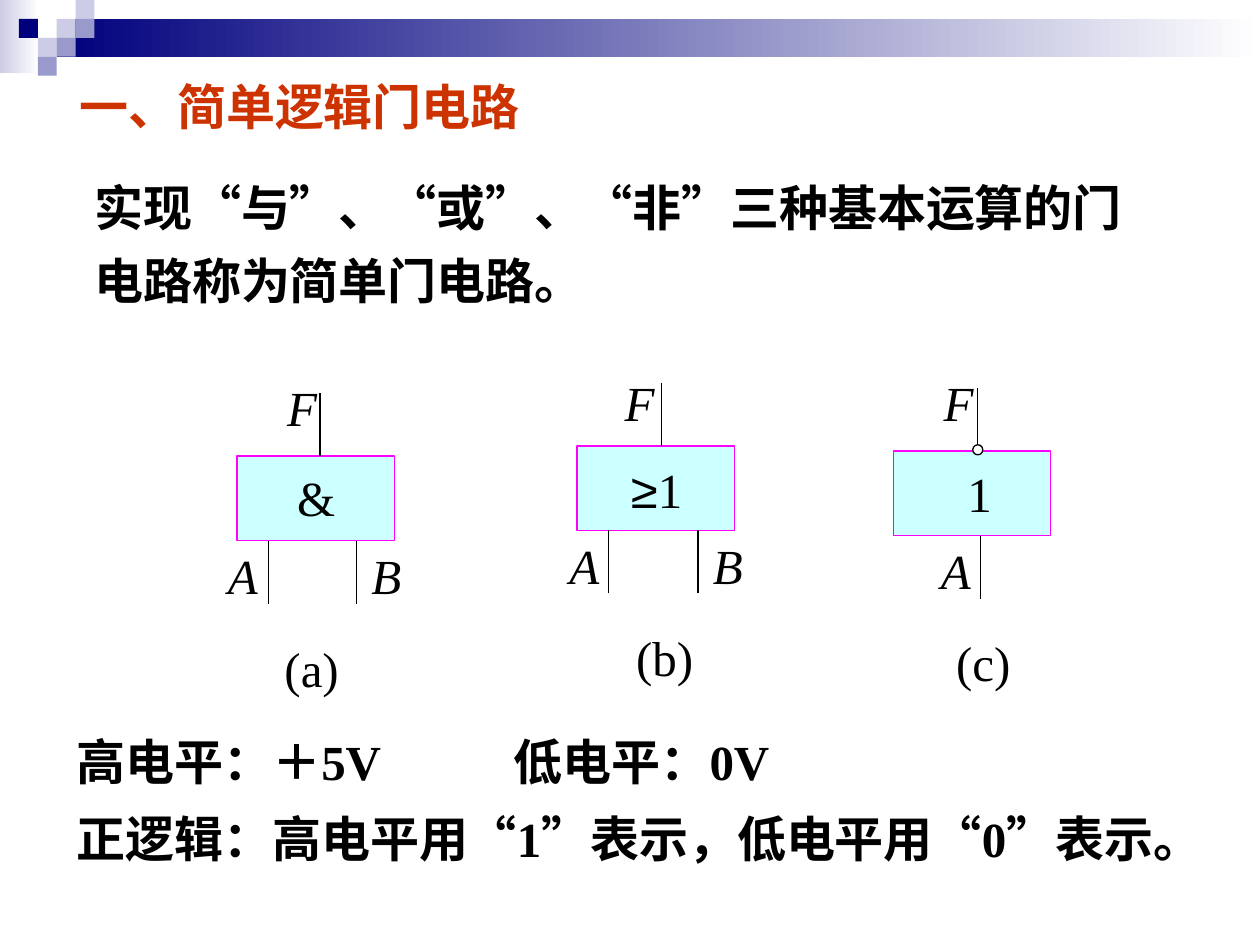
"""Build the slide on simple logic gates."""
import pptx
import pptx.util
import pptx.dml.color
import pptx.enum.shapes
import pptx.enum.text
import pptx.oxml.ns
import lxml.etree

Inches, Pt = pptx.util.Inches, pptx.util.Pt
Shape = pptx.enum.shapes.MSO_SHAPE
Text = pptx.enum.text
qn = pptx.oxml.ns.qn
rgb = pptx.dml.color.RGBColor.from_string

theme = {
    "ink": rgb("000000"), "head": rgb("CC3300"), "white": rgb("FFFFFF"),
    "gate": rgb("CCFFFF"), "edge": rgb("FF00FF"),
    "navy": rgb("00007D"), "pale": rgb("CCCCE6"), "mid": rgb("9999CC"),
    "size": Pt(28), "line": Pt(0.75), "serif": "Times New Roman", "sans": "Arial",
}


def put(kind, at, fill, edge=None):
    shape = slide.shapes.add_shape(kind, *map(Inches, at))
    shape.shadow.inherit = False
    if isinstance(fill, list):
        shape.fill.gradient()
        shape.fill.gradient_angle = 180
        for stop, color in zip(shape.fill.gradient_stops, fill):
            stop.color.rgb = color
    else:
        shape.fill.solid()
        shape.fill.fore_color.rgb = fill
    if edge is None:
        shape.line.fill.background()
    else:
        shape.line.color.rgb = edge
        shape.line.width = theme["line"]


def write(at, lines, wrap=False, color=theme["ink"], space=1.0, shape=None, **style):
    shape = shape or slide.shapes.add_textbox(0, 0, 0, 0)
    for name, size in zip(("left", "top", "width", "height"), at):
        setattr(shape, name, Inches(size))
    frame = shape.text_frame
    look = {"word_wrap": wrap, "auto_size": Text.MSO_AUTO_SIZE.NONE,
            "vertical_anchor": Text.MSO_ANCHOR.TOP}
    for name, value in look.items():
        setattr(frame, name, value)
    form = {"size": theme["size"], "name": theme["serif"], **style}
    for i, line in enumerate(lines):
        para = frame.add_paragraph() if i else frame.paragraphs[0]
        if "\t" in line:
            tabs = lxml.etree.SubElement(para._p.get_or_add_pPr(), qn("a:tabLst"))
            lxml.etree.SubElement(tabs, qn("a:tab"), pos=str(Inches(3.47)), algn="l")
        para.alignment = Text.PP_ALIGN.LEFT
        para.line_spacing = space
        for part in line.replace("≥", "≥|").split("|"):
            run = para.add_run()
            run.text = part
            for name, value in form.items():
                setattr(run.font, name, value)
            run.font.color.rgb = color
            if part == "≥":
                run.font.name = theme["sans"]


deck = pptx.Presentation()
deck.slide_width, deck.slide_height = Inches(10), Inches(7.5)
slide = deck.slides.add_slide(deck.slide_layouts[5])

put(Shape.RECTANGLE, (0, 0, 0.31, 0.58), [theme["white"], theme["pale"]])
put(Shape.RECTANGLE, (0.45, 0.15, 9.55, 0.3), [theme["white"], theme["navy"]])
tile = 0.15
tiles = [(3, 1, "pale"), (4, 0, "pale"), (4, 1, "mid"), (2, 2, "pale"),
         (1, 1, "navy"), (3, 2, "mid"), (2, 3, "mid")]
for col, row, name in tiles:
    put(Shape.RECTANGLE, (col * tile, row * tile, tile, tile), theme[name])

write((0.53, 0.56, 4.29, 0.57), ["一、简单逻辑门电路"], wrap=True,
      color=theme["head"], shape=slide.shapes.title, bold=True)
write((0.65, 1.24, 8.5, 1.27),
      ["实现“与”、“或”、“非”三种基本运算的门电路称为简单门电路。"],
      wrap=True, space=1.25, bold=True)

wide, high, lead, tall = 1.25, 0.67, 0.5, 0.57
gates = [
    (1.88, 3.62, 0.66, (0.25, 0.95), [("F", 0.3, -0.67), ("A", -0.17, 0.66), ("B", 0.97, 0.66)],
     [("&", 0.38, 0.04, 0.5), ("(a)", 0.28, 1.4, 0.63)]),
    (4.58, 3.54, 0.67, (0.25, 0.96), [("F", 0.28, -0.63), ("A", -0.16, 0.66), ("B", 0.98, 0.66)],
     [("≥1", 0.33, 0.06, 0.7), ("(b)", 0.37, 1.39, 0.65)]),
    (7.09, 3.58, 0.67, (0.69,), [("F", 0.3, -0.67), ("A", 0.28, 0.66)],
     [("1", 0.49, 0.05, 0.39), ("(c)", 0.4, 1.39, 0.63)]),
]
for x, y, out, feeds, pins, marks in gates:
    put(Shape.RECTANGLE, (x, y, wide, high), theme["gate"], theme["edge"])
    for dx, end in [(out, y)] + [(feed, y + high + lead) for feed in feeds]:
        wire = slide.shapes.add_connector(
            pptx.enum.shapes.MSO_CONNECTOR.STRAIGHT,
            *map(Inches, (x + dx, end, x + dx, end - lead)))
        wire.line.color.rgb = theme["ink"]
        wire.line.width = theme["line"]
        lxml.etree.SubElement(wire._element.spPr, qn("a:effectLst"))
    for name, dx, dy in pins:
        write((x + dx, y + dy, 0.44, tall), [name], italic=True)
    for name, dx, dy, width in marks:
        write((x + dx, y + dy, width, tall), [name])
put(Shape.OVAL, (7.72, 3.53, 0.08, 0.08), theme["white"], theme["ink"])

write((0.51, 5.62, 9.5, 1.32),
      ["高电平：＋5V\t低电平：0V", "正逻辑：高电平用“1”表示，低电平用“0”表示。"],
      space=1.3, bold=True)

deck.save("out.pptx")
